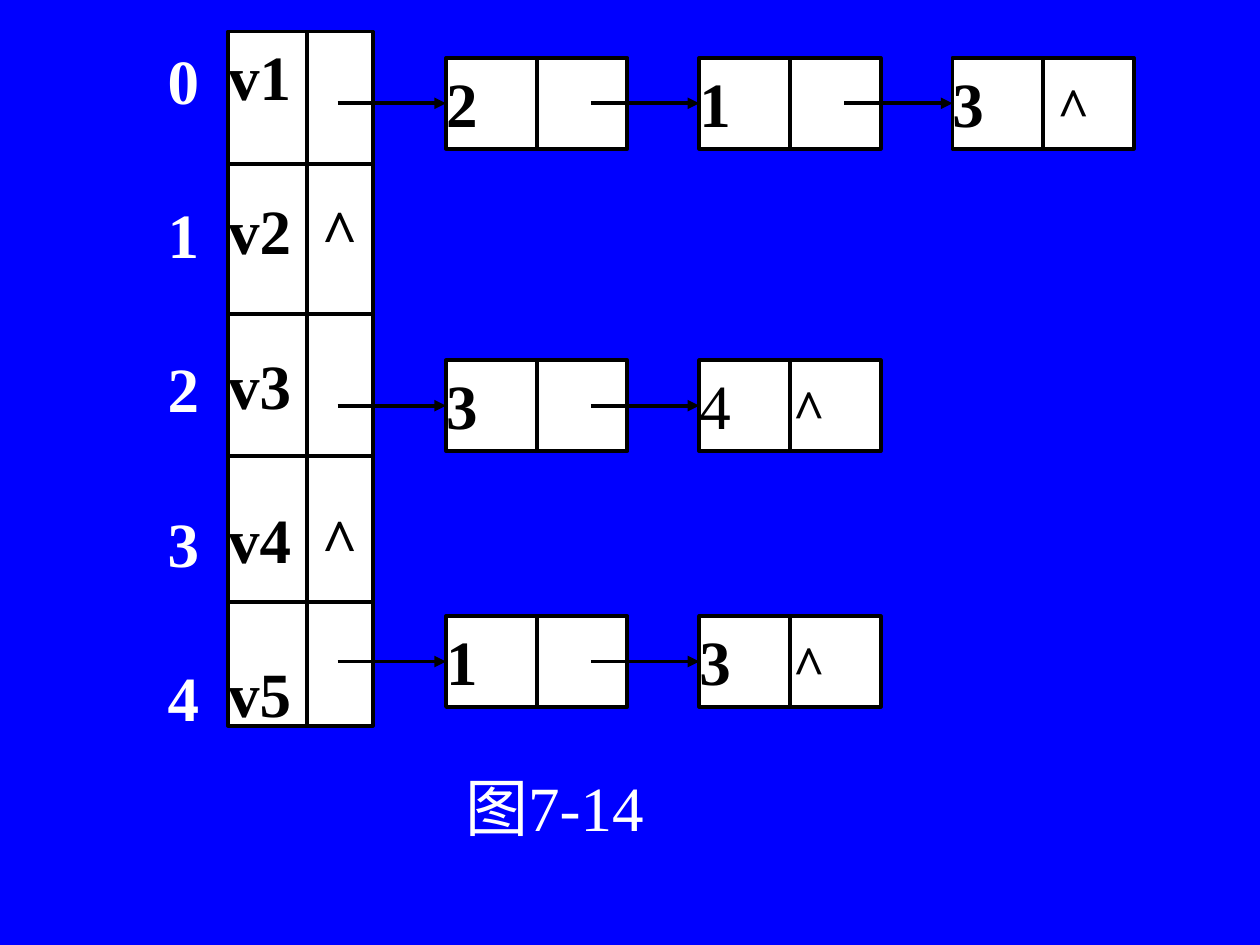
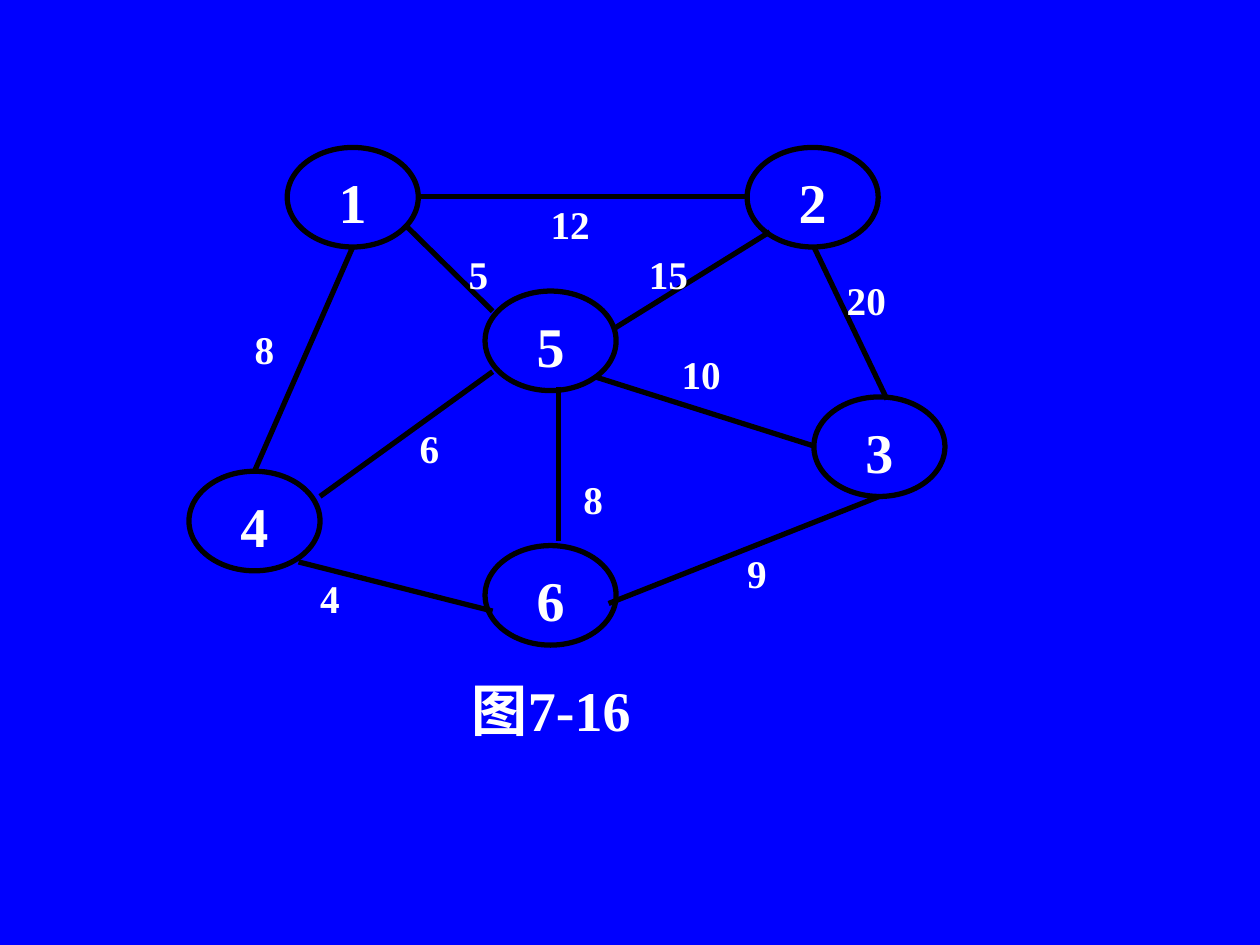
from dataclasses import dataclass
from lxml.etree import SubElement
from pptx import Presentation
from pptx.dml.color import RGBColor
from pptx.enum.shapes import MSO_CONNECTOR, MSO_SHAPE
from pptx.enum.text import MSO_ANCHOR, PP_ALIGN
from pptx.oxml.ns import qn
from pptx.util import Inches, Pt


@dataclass(frozen=True)
class Theme:
    font: str = "Times New Roman"
    blue: RGBColor = RGBColor(0, 0, 255)
    black: RGBColor = RGBColor(0, 0, 0)
    white: RGBColor = RGBColor(255, 255, 255)
    large: float = 36
    medium: float = 32
    small: float = 22.4
    thin: float = 2.25
    thick: float = 3


theme = Theme()


def write(shape, paragraphs, color, align=PP_ALIGN.JUSTIFY, gap=0, tab=None):
    """Fill a shape with paragraphs, each a list of (text, size, bold) runs."""
    frame = shape.text_frame
    frame.word_wrap = True
    frame.vertical_anchor = MSO_ANCHOR.TOP
    frame.margin_left = frame.margin_right = frame.margin_bottom = 0
    frame.margin_top = Pt(paragraphs[0][0][1] * 0.1)
    for index, runs in enumerate(paragraphs):
        paragraph = frame.add_paragraph() if index else frame.paragraphs[0]
        paragraph.alignment = align
        if index and gap:
            paragraph.space_before = Pt(gap)
        if tab:
            tabs = SubElement(paragraph._p.get_or_add_pPr(), qn("a:tabLst"))
            SubElement(tabs, qn("a:tab"), pos=str(Inches(tab)), algn="l")
        for text, size, bold in runs:
            run = paragraph.add_run()
            run.text = text
            run.font.name = theme.font
            run.font.size = Pt(size)
            run.font.bold = bold
            run.font.color.rgb = color


def draw_line(slide, start, end, width, arrow=False):
    points = [Inches(value) for value in (*start, *end)]
    line = slide.shapes.add_connector(MSO_CONNECTOR.STRAIGHT, *points)
    line.line.color.rgb = theme.black
    line.line.width = Pt(width)
    if arrow:
        SubElement(line.line._get_or_add_ln(), qn("a:tailEnd"), type="triangle")
    SubElement(line._element.spPr, qn("a:effectLst"))
    return line


prs = Presentation()
prs.slide_width, prs.slide_height = Inches(10), Inches(7.5)
background = prs.slide_master.background.fill
background.solid()
background.fore_color.rgb = theme.blue
blank = prs.slide_layouts[6]

# Slide 1: adjacency list
list_slide = prs.slides.add_slide(blank)
left, top, width, height = 1.81, 0.25, 1.15, 5.51
row_gap = 44.9

# Vertex table
vertices = list_slide.shapes.add_shape(
    MSO_SHAPE.RECTANGLE, Inches(left), Inches(top), Inches(width), Inches(height))
vertices.shadow.inherit = False
vertices.fill.solid()
vertices.fill.fore_color.rgb = theme.white
vertices.line.color.rgb = theme.black
vertices.line.width = Pt(theme.thin)
vertex_rows = ["v1", "v2\t^", "v3", "v4\t^", "v5"]
write(vertices, [[(row, theme.large, True)] for row in vertex_rows],
      theme.black, gap=row_gap, tab=0.74)
draw_line(list_slide, (2.44, top), (2.44, top + height), theme.thin)
for y in (1.3, 2.49, 3.62, 4.78):
    draw_line(list_slide, (left, y), (left + width, y), theme.thin)

# Linked nodes: top of the chain, then (number, bold, caret position) per node
chains = [
    (0.46, [("2", True, None), ("1", True, None), ("3", True, 0.83)]),
    (2.86, [("3", True, None), ("4", False, 0.74)]),
    (4.89, [("1", True, None), ("3", True, 0.74)]),
]
node_width, node_height, node_pitch = 1.44, 0.72, 2.01
for node_top, nodes in chains:
    for column, (number, bold, caret) in enumerate(nodes):
        node_left = 3.54 + column * node_pitch
        node = list_slide.shapes.add_shape(
            MSO_SHAPE.RECTANGLE, Inches(node_left), Inches(node_top),
            Inches(node_width), Inches(node_height))
        node.shadow.inherit = False
        node.fill.solid()
        node.fill.fore_color.rgb = theme.white
        node.line.color.rgb = theme.black
        node.line.width = Pt(theme.thin)
        runs = [(number, theme.large, bold)]
        if caret:
            runs += [("\t", theme.large, bold), ("^", theme.medium, True)]
        write(node, [runs], theme.black, tab=caret)

        middle = node_left + node_width / 2
        divider = draw_line(list_slide, (middle, node_top),
                            (middle, node_top + node_height), theme.thin)
        divider.begin_connect(node, 0)
        divider.end_connect(node, 2)
        y = node_top + node_height / 2
        pointer = draw_line(list_slide, (node_left - 0.86, y), (node_left, y),
                            theme.thin, arrow=True)
        pointer.end_connect(node, 1)

# Row indices and caption
indices = list_slide.shapes.add_textbox(
    Inches(1.33), Inches(0.28), Inches(0.57), Inches(height))
write(indices, [[(str(i), theme.large, True)] for i in range(5)],
      theme.white, gap=row_gap)
list_caption = list_slide.shapes.add_textbox(
    Inches(3.54), Inches(6.05), Inches(1.72), Inches(0.87))
write(list_caption, [[("图7-14", theme.large, False)]], theme.white, PP_ALIGN.CENTER)

# Slide 2: weighted graph
graph_slide = prs.slides.add_slide(blank)
graph_caption = graph_slide.shapes.add_textbox(
    Inches(3.59), Inches(5.32), Inches(1.57), Inches(0.59))
write(graph_caption, [[("图7-16", theme.medium, True)]], theme.white, PP_ALIGN.CENTER)

# Vertices
graph_vertices = {
    "3": (6.46, 3.15), "1": (2.28, 1.17), "2": (5.93, 1.17),
    "5": (3.85, 2.31), "4": (1.5, 3.74), "6": (3.85, 4.33),
}
for name, (x, y) in graph_vertices.items():
    vertex = graph_slide.shapes.add_shape(
        MSO_SHAPE.OVAL, Inches(x), Inches(y), Inches(1.04), Inches(0.79))
    vertex.shadow.inherit = False
    vertex.fill.background()
    vertex.line.color.rgb = theme.black
    vertex.line.width = Pt(theme.thick)
    write(vertex, [[(name, theme.medium, True)]], theme.white, PP_ALIGN.CENTER)

# Edges: start, end, weight, place of the weight
edges = [
    ((4.43, 3.07), (4.43, 4.29), "8", (4.63, 3.74)),
    ((6.98, 3.94), (4.83, 4.79), "9", (5.93, 4.33)),
    ((3.22, 1.79), (3.91, 2.47), "5", (3.72, 1.96)),
    ((3.33, 1.56), (5.93, 1.56), "12", (4.37, 1.56)),
    ((2.8, 1.96), (2.02, 3.74), "8", (2.02, 2.55)),
    ((6.46, 3.54), (4.72, 2.99), "10", (5.41, 2.75)),
    ((2.37, 4.46), (3.91, 4.85), "4", (2.54, 4.53)),
    ((6.11, 1.84), (4.87, 2.61), "15", (5.15, 1.96)),
    ((6.46, 1.96), (7.04, 3.17), "20", (6.72, 2.16)),
    ((3.91, 2.95), (2.54, 3.94), "6", (3.33, 3.34)),
]
for start, end, weight, (x, y) in edges:
    draw_line(graph_slide, start, end, theme.thick)
    label = graph_slide.shapes.add_textbox(
        Inches(x), Inches(y), Inches(0.52), Inches(0.4))
    write(label, [[(weight, theme.small, True)]], theme.white)

prs.save("out.pptx")
